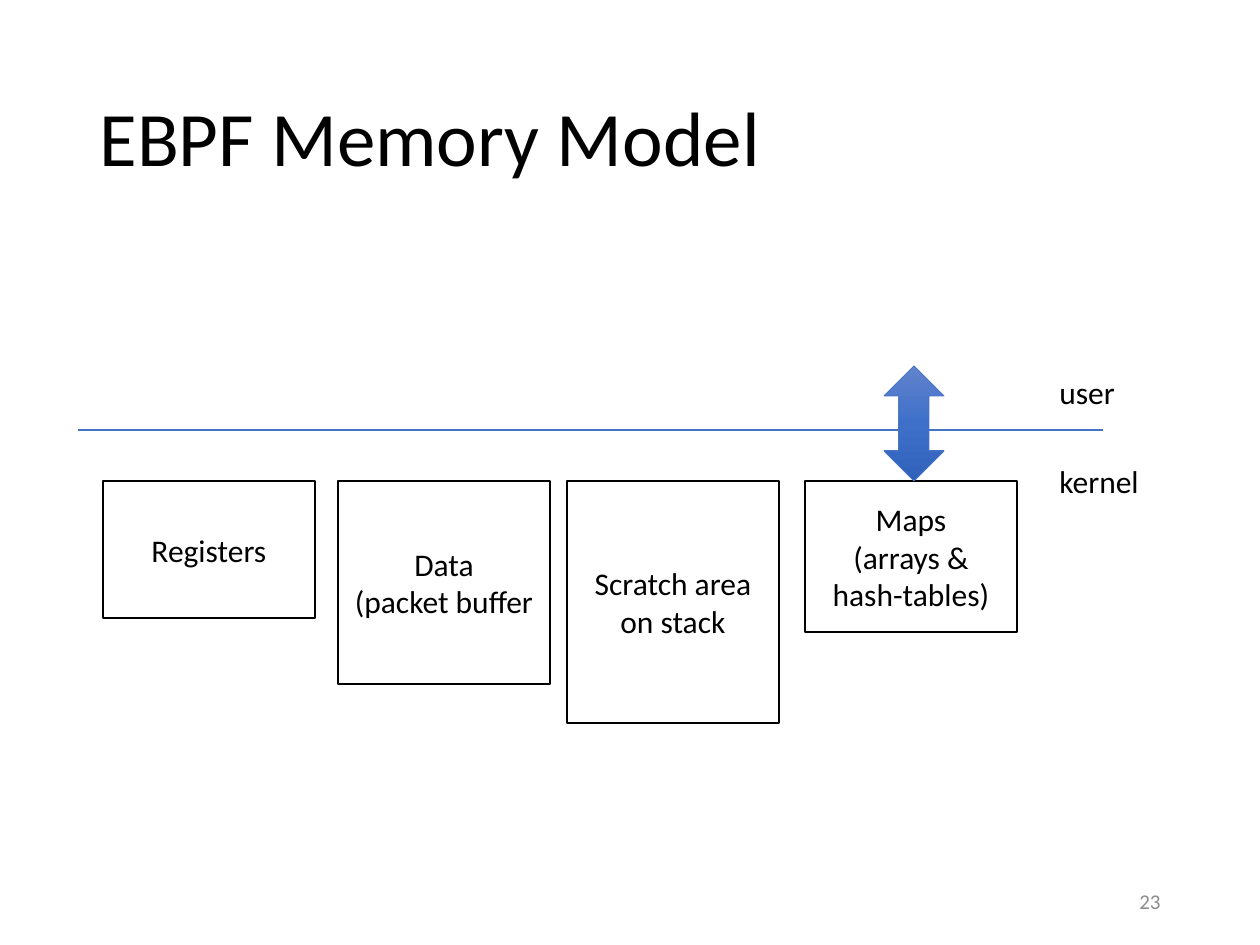
from copy import deepcopy

from pptx import Presentation
from pptx import util as u
from pptx.dml.color import RGBColor
from pptx.enum import shapes, text
from pptx.oxml import parse_xml
from pptx.oxml.ns import nsdecls

BLACK = RGBColor(0x00, 0x00, 0x00)
WHITE = RGBColor(0xFF, 0xFF, 0xFF)
GREY = RGBColor(0x8C, 0x8C, 0x8C)
BLUE = RGBColor(0x44, 0x72, 0xC4)
ARROW_STOPS = [
    (0, RGBColor(0x61, 0x83, 0xCB)),
    (0.5, RGBColor(0x3E, 0x70, 0xCA)),
    (1, RGBColor(0x30, 0x62, 0xBB)),
]


def px(*lengths):
    return [u.Emu(round(n * 914400 / 126)) for n in lengths]


def write(tf, paragraphs, size=18, color=BLACK, align=text.PP_ALIGN.LEFT):
    for i, lines in enumerate(paragraphs):
        p = tf.add_paragraph() if i else tf.paragraphs[0]
        p.alignment = align
        for j, line in enumerate(lines.split("\n")):
            if j:
                p.add_line_break()
            r = p.add_run()
            r.text = line
            r.font.name = "Calibri"
            r.font.size = u.Pt(size)
            r.font.color.rgb = color


prs = Presentation()
prs.slide_width, prs.slide_height = px(1260, 945)
s = prs.slides.add_slide(prs.slide_layouts[5])

# Title
title = s.shapes.title
title.left, title.top, title.width, title.height = px(87, 50, 1086, 183)
title.text_frame.vertical_anchor = text.MSO_ANCHOR.MIDDLE
write(title.text_frame, ["EBPF Memory Model"], size=44)
title.text_frame.paragraphs[0].line_spacing = 0.9

# Memory areas, hanging from one top edge
AREA_TOP, AREA_WIDTH = 481, 212
for left, height, label in [
    (103, 137, ["Registers"]),
    (338, 203, ["Data", "(packet buffer"]),
    (567, 242, ["Scratch area", "on stack"]),
    (805, 151, ["Maps", "(arrays &\nhash-tables)"]),
]:
    area = s.shapes.add_shape(shapes.MSO_SHAPE.RECTANGLE, *px(left, AREA_TOP, AREA_WIDTH, height))
    area.shadow.inherit = False
    area.fill.solid()
    area.fill.fore_color.rgb = WHITE
    area.line.color.rgb = BLACK
    area.line.width = u.Pt(1)
    area.text_frame.vertical_anchor = text.MSO_ANCHOR.MIDDLE
    write(area.text_frame, label, align=text.PP_ALIGN.CENTER)

# Boundary between user and kernel space
boundary = s.shapes.add_connector(shapes.MSO_CONNECTOR.STRAIGHT, *px(78, 430, 1103, 430))
boundary.line.color.rgb = BLUE
boundary.line.width = u.Pt(1)
boundary._element.spPr.append(parse_xml("<a:effectLst %s/>" % nsdecls("a")))

for top, width, label in [(367, 82, "user"), (456, 107, "kernel")]:
    tf = s.shapes.add_textbox(*px(1047, top, width, 50)).text_frame
    tf.word_wrap = False
    tf.auto_size = text.MSO_AUTO_SIZE.SHAPE_TO_FIT_TEXT
    write(tf, [label])

# Arrow between user space and the maps
arrow = s.shapes.add_shape(shapes.MSO_SHAPE.UP_DOWN_ARROW, *px(884, 366, 60, 115))
arrow.shadow.inherit = False
arrow.line.color.rgb = BLUE
arrow.line.width = u.Pt(0.5)
arrow.fill.gradient()
arrow.fill.gradient_angle = 270
stop_list = arrow._element.spPr.gradFill.gsLst
stop_list.append(deepcopy(stop_list[-1]))
for stop, (position, color) in zip(arrow.fill.gradient_stops, ARROW_STOPS):
    stop.position = position
    stop.color.rgb = color

# Slide number
tf = s.shapes.add_textbox(*px(890, 876, 283, 50)).text_frame
tf.word_wrap = True
tf.vertical_anchor = text.MSO_ANCHOR.MIDDLE
write(tf, ["23"], size=12, color=GREY, align=text.PP_ALIGN.RIGHT)

prs.save("out.pptx")
